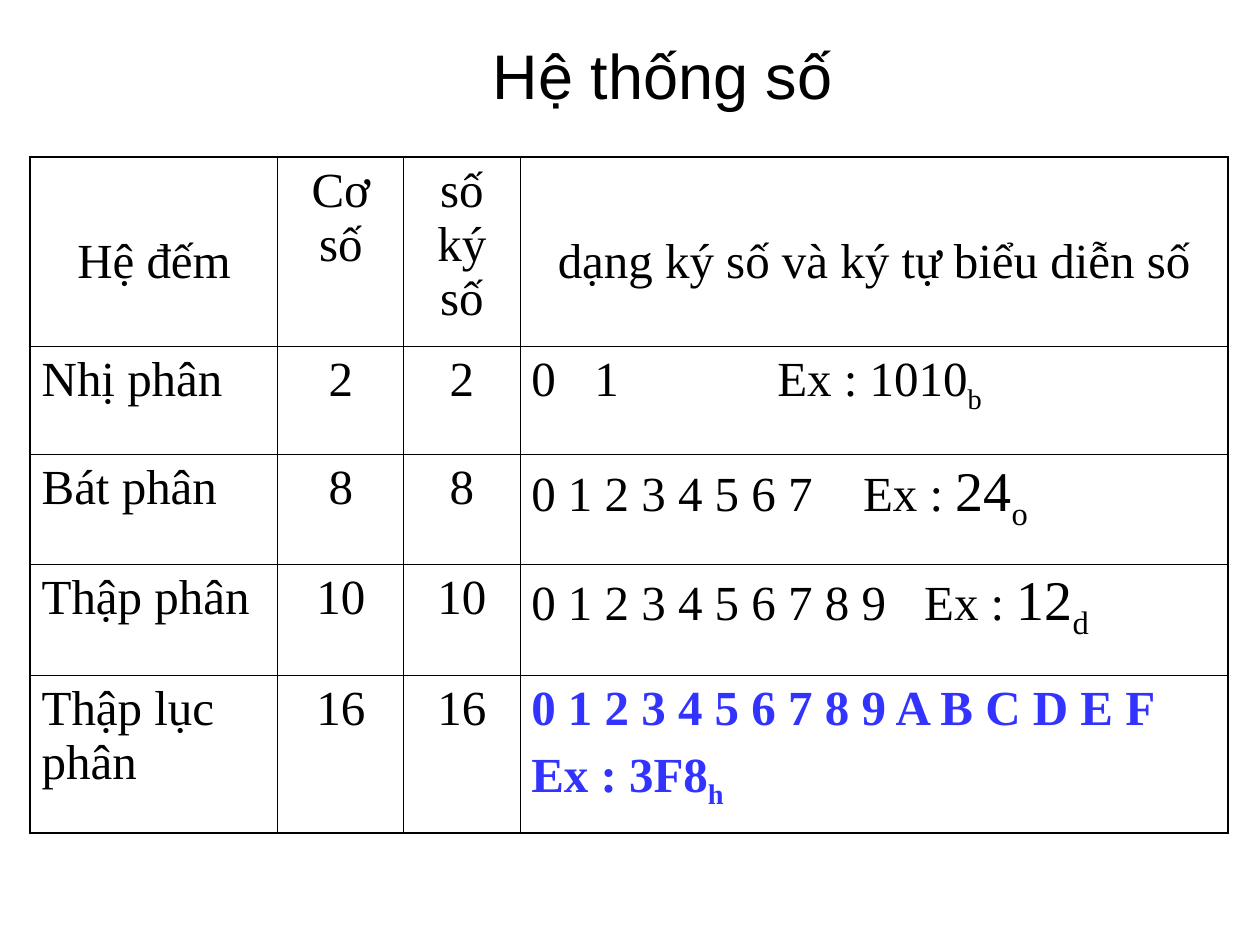
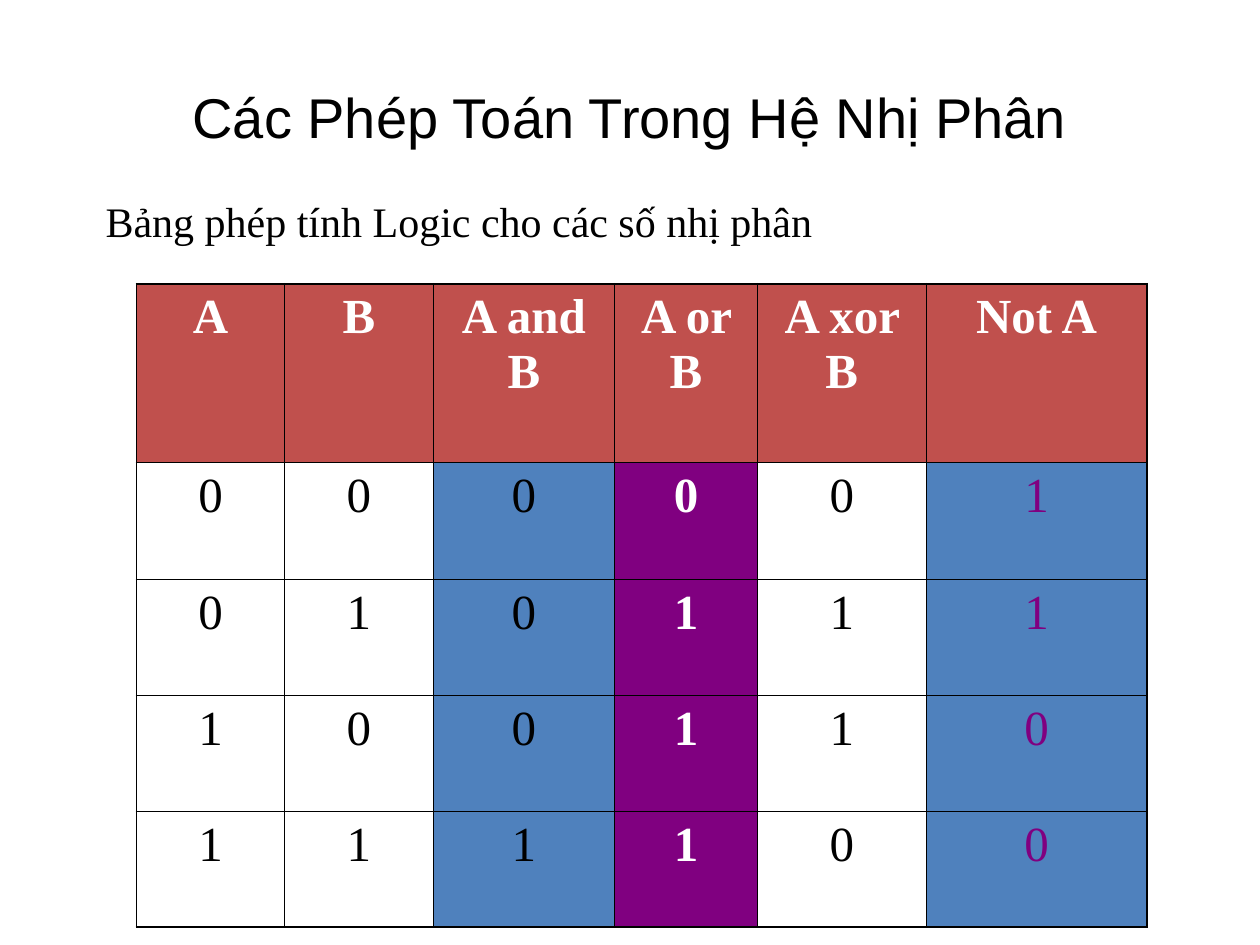
from lxml import etree
from pptx import Presentation
from pptx.dml.color import RGBColor
from pptx.enum.text import MSO_ANCHOR, PP_ALIGN
from pptx.oxml.ns import qn
from pptx.util import Cm, Pt

CENTER, LEFT = PP_ALIGN.CENTER, PP_ALIGN.LEFT
MIDDLE, TOP = MSO_ANCHOR.MIDDLE, MSO_ANCHOR.TOP
SANS, SERIF = "Arial", "Times New Roman"
BLACK, WHITE, BLUE = "000000", "FFFFFF", "3333FF"
RED, STEEL, PURPLE = "C0504D", "4F81BD", "800080"
THIN, THICK = 0.45, 1.08
BODY, BIG = 28, 32
MARGIN_X, MARGIN_Y = 0.23, 0.13

# Number systems: name, base, digit count, notation lines, tab stops in cm
# A notation line is (text, enlarged number, subscript)
SYSTEMS_TITLE = "Hệ thống số"
SYSTEMS_HEAD = ["Hệ đếm", "Cơ số", "số ký số", "dạng ký số và ký tự biểu diễn số"]
SYSTEMS = [
    ("Nhị phân", "2", "2", [("0\t1\tEx : 1010", "", "b")], [1.27, 4.96]),
    ("Bát phân", "8", "8", [("0 1 2 3 4 5 6 7\tEx : ", "24", "o")], [6.69]),
    ("Thập phân", "10", "10", [("0 1 2 3 4 5 6 7 8 9\tEx : ", "12", "d")], [7.92]),
    ("Thập lục phân", "16", "16",
     [("0 1 2 3 4 5 6 7 8 9 A B C D E F", "", ""), ("Ex : 3F8", "", "h")], []),
]
SYSTEMS_COLS = [4.99, 2.54, 2.34, 14.28]
SYSTEMS_ROWS = [3.79, 2.18, 2.21, 2.24, 3.17]
LOW_HEAD_MARGIN = 1.57

# Logic operations
LOGIC_TITLE = "Các Phép Toán Trong Hệ Nhị Phân"
LOGIC_INTRO = "Bảng phép tính Logic cho các số nhị phân"
LOGIC_HEAD = ["A", "B", "A and B", "A or B", "A xor B", "Not A"]
LOGIC = ["000001", "010111", "100110", "111100"]
LOGIC_STYLES = [  # fill, text colour, bold
    (WHITE, BLACK, False), (WHITE, BLACK, False), (STEEL, BLACK, False),
    (PURPLE, WHITE, True), (WHITE, BLACK, False), (STEEL, PURPLE, False),
]
LOGIC_COLS = [2.99, 2.99, 3.66, 2.88, 3.4, 4.45]
LOGIC_ROWS = [3.61] + [2.34] * 4


def rgb(hex_colour):
    return RGBColor.from_string(hex_colour)


def set_font(p, size, name=SERIF, colour=BLACK, bold=False):
    p.font.size, p.font.name, p.font.bold = Pt(size), name, bold
    p.font.color.rgb = rgb(colour)


def add_text(slide, text, box, size, name=SERIF, align=LEFT, anchor=TOP):
    tf = slide.shapes.add_textbox(*map(Cm, box)).text_frame
    tf.word_wrap = True
    tf.vertical_anchor = anchor
    tf.margin_left = tf.margin_right = Cm(MARGIN_X)
    tf.margin_top = tf.margin_bottom = Cm(MARGIN_Y)
    p = tf.paragraphs[0]
    p.text, p.alignment = text, align
    set_font(p, size, name)


def add_title(slide, text, box, size):
    add_text(slide, text, box, size, SANS, CENTER, MIDDLE)


def add_grid(slide, left, top, cols, rows):
    """Add an empty table with a thin grid and a thick frame."""
    table = slide.shapes.add_table(len(rows), len(cols), Cm(left), Cm(top),
                                   Cm(sum(cols)), Cm(sum(rows))).table
    table.first_row = table.horz_banding = False
    for column, width in zip(table.columns, cols):
        column.width = Cm(width)
    for row, height in zip(table.rows, rows):
        row.height = Cm(height)
    for r in range(len(rows)):
        for c in range(len(cols)):
            cell = table.cell(r, c)
            cell.margin_left = cell.margin_right = Cm(MARGIN_X)
            cell.margin_top = cell.margin_bottom = Cm(MARGIN_Y)
            outer = {"lnL": c == 0, "lnR": c == len(cols) - 1,
                     "lnT": r == 0, "lnB": r == len(rows) - 1}
            for side, on_frame in outer.items():
                add_border(cell, side, THICK if on_frame else THIN)
    return table


def add_border(cell, side, width):
    ln = etree.SubElement(cell._tc.get_or_add_tcPr(), qn("a:" + side), w=str(int(Pt(width))))
    fill = etree.SubElement(ln, qn("a:solidFill"))
    etree.SubElement(fill, qn("a:srgbClr"), val=BLACK)


def fill_cell(cell, text, align=CENTER, fill=WHITE, colour=BLACK, bold=False):
    cell.fill.solid()
    cell.fill.fore_color.rgb = rgb(fill)
    p = cell.text_frame.paragraphs[0]
    p.text, p.alignment = text, align
    set_font(p, BODY, colour=colour, bold=bold)


def fill_notation(cell, lines, stops, colour, bold):
    cell.fill.solid()
    cell.fill.fore_color.rgb = rgb(WHITE)
    tf = cell.text_frame
    for i, (text, number, subscript) in enumerate(lines):
        p = tf.add_paragraph() if i else tf.paragraphs[0]
        if stops:
            tabs = etree.SubElement(p._p.get_or_add_pPr(), qn("a:tabLst"))
            for stop in stops:
                etree.SubElement(tabs, qn("a:tab"), pos=str(int(Cm(stop))), algn="l")
        if i:
            p.space_before = Pt(7)
        set_font(p, BODY, colour=colour, bold=bold)
        p.add_run().text = text
        for extra in filter(None, (number, subscript)):
            r = p.add_run()
            r.text = extra
            if number:
                r.font.size = Pt(BIG)
            if extra == subscript:
                r.font._element.set("baseline", "-25000")


def build_systems(slide):
    add_title(slide, SYSTEMS_TITLE, (2.54, -0.09, 21.64, 3.18), 36)
    table = add_grid(slide, 0.61, 3.17, SYSTEMS_COLS, SYSTEMS_ROWS)
    for c, text in enumerate(SYSTEMS_HEAD):
        fill_cell(table.cell(0, c), text)
    for c in (0, len(SYSTEMS_HEAD) - 1):
        table.cell(0, c).margin_top = Cm(LOW_HEAD_MARGIN)
    for r, (name, base, count, lines, stops) in enumerate(SYSTEMS, 1):
        fill_cell(table.cell(r, 0), name, LEFT)
        fill_cell(table.cell(r, 1), base)
        fill_cell(table.cell(r, 2), count)
        last = r == len(SYSTEMS)
        fill_notation(table.cell(r, 3), lines, stops, BLUE if last else BLACK, last)


def build_logic(slide):
    add_title(slide, LOGIC_TITLE, (1.27, 0.76, 22.86, 3.18), 32)
    add_text(slide, LOGIC_INTRO, (1.9, 3.81, 23.5, 1.24), 24)
    table = add_grid(slide, 2.75, 5.72, LOGIC_COLS, LOGIC_ROWS)
    for c, (head, style) in enumerate(zip(LOGIC_HEAD, LOGIC_STYLES)):
        fill_cell(table.cell(0, c), head, CENTER, RED, WHITE, True)
        for r, bits in enumerate(LOGIC, 1):
            fill_cell(table.cell(r, c), bits[c], CENTER, *style)


def main():
    prs = Presentation()
    prs.slide_width, prs.slide_height = Cm(25.4), Cm(19.05)
    for build in (build_systems, build_logic):
        build(prs.slides.add_slide(prs.slide_layouts[6]))
    prs.save("out.pptx")


if __name__ == "__main__":
    main()
